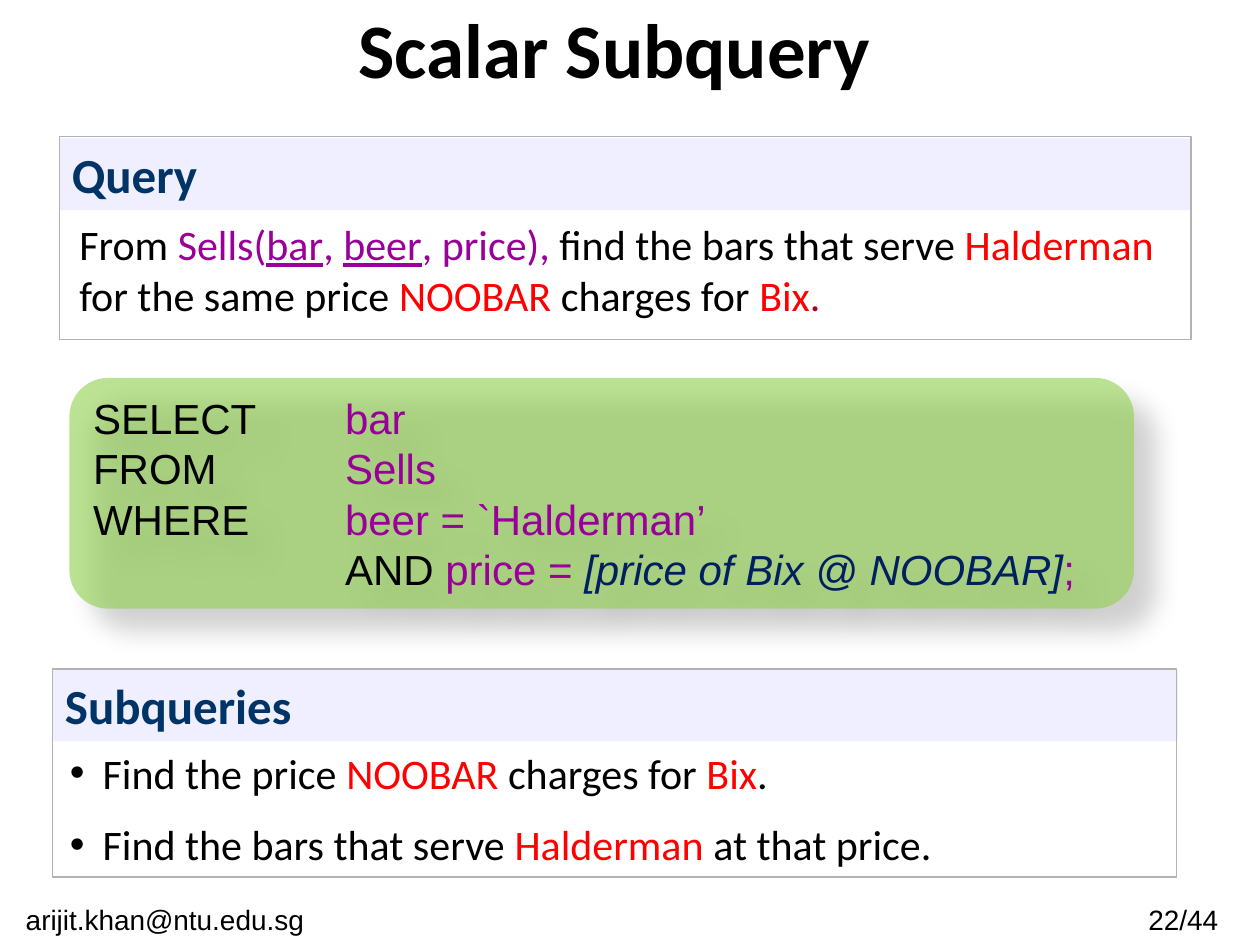
from lxml import etree
from pptx import Presentation
from pptx.dml.color import RGBColor
from pptx.enum.shapes import MSO_SHAPE
from pptx.enum.text import MSO_ANCHOR, PP_ALIGN
from pptx.oxml import parse_xml
from pptx.oxml.ns import nsdecls, qn
from pptx.util import Cm, Pt

RECT, ROUNDED = MSO_SHAPE.RECTANGLE, MSO_SHAPE.ROUNDED_RECTANGLE
TOP, MIDDLE = MSO_ANCHOR.TOP, MSO_ANCHOR.MIDDLE
LEFT, CENTER = PP_ALIGN.LEFT, PP_ALIGN.CENTER

BLACK, NAVY, INK = "000000", "003366", "002060"
PURPLE, RED, MAROON = "990099", "FF0000", "A50021"
LAVENDER, GREY, GREEN = "EFEFFF", "B2B2B2", "92D050"


def rgb(value):
    return RGBColor.from_string(value)


def write(box, lines, font, anchor=TOP, align=LEFT, wrap=True, bullets=False,
          tab=None):
    """Fill a box; each line is a list of (text, colour, extra font values)."""
    frame = box.text_frame
    frame.word_wrap = wrap
    frame.vertical_anchor = anchor
    for index, line in enumerate(lines):
        para = frame.paragraphs[0] if index == 0 else frame.add_paragraph()
        para.alignment = align
        props = para._p.get_or_add_pPr()
        if bullets:
            if index:
                para.space_before = Pt(12)
            props.set("marL", str(Cm(0.66)))
            props.set("indent", str(-Cm(0.66)))
            etree.SubElement(props, qn("a:buFont"), typeface="Arial")
            etree.SubElement(props, qn("a:buChar"), char="•")
        if tab:
            stops = etree.SubElement(props, qn("a:tabLst"))
            etree.SubElement(stops, qn("a:tab"), pos=str(tab), algn="l")
        for text, color, *extra in line:
            span = para.add_run()
            span.text = text
            span.font.color.rgb = rgb(color)
            for name, value in (font | (extra[0] if extra else {})).items():
                setattr(span.font, name, value)


deck = Presentation()
deck.slide_width, deck.slide_height = Cm(25.4), Cm(19.05)
page = deck.slides.add_slide(deck.slide_layouts[6])
shapes = page.shapes

# Title and footer
title_font = {"name": "Calibri", "size": Pt(44), "bold": True}
footer_font = {"name": "Arial", "size": Pt(16)}
for text, place, font, anchor in [
    ("Scalar Subquery", (0.64, 0, 23.5, 1.91), title_font, MIDDLE),
    ("22/44", (22.38, 18.06, 2.95, 0.99), footer_font, TOP),
    ("arijit.khan@ntu.edu.sg", (0, 18.06, 6.65, 0.99), footer_font, TOP),
]:
    box = shapes.add_textbox(*map(Cm, place))
    write(box, [[(text, BLACK)]], font, anchor, CENTER)

# Framed panels, each with a heading band
heading_font = {"name": "Calibri", "size": Pt(28), "bold": True}
body_font = {"name": "Calibri", "size": Pt(24)}
underlined = {"underline": True}
query = [[
    ("From ", BLACK), ("Sells(", PURPLE), ("bar", PURPLE, underlined),
    (", ", PURPLE), ("beer", PURPLE, underlined), (", price),", PURPLE),
    (" find the bars that serve ", BLACK), ("Halderman ", RED),
    ("for the same price ", BLACK), ("NOOBAR ", RED),
    ("charges for ", BLACK), ("Bix", RED), (".", MAROON),
]]
subqueries = [
    [("Find the price ", BLACK), ("NOOBAR ", RED), ("charges for ", BLACK),
     ("Bix", RED), (".", BLACK)],
    [("Find the bars that serve ", BLACK), ("Halderman", RED),
     (" at that price.", BLACK)],
]

for heading, band_place, frame_place, body_place, lines, bullets in [
    ("Query", (1.2, 2.79, 22.83, 1.45), (1.2, 2.75, 22.81, 4.09),
     (1.35, 4.29, 22.5, 2.31), query, False),
    ("Subqueries", (1.06, 13.49, 22.68, 1.45), (1.06, 13.49, 22.66, 4.19),
     (1.16, 14.94, 22.89, 2.74), subqueries, True),
]:
    band = shapes.add_shape(RECT, *map(Cm, band_place))
    band.shadow.inherit = False
    band.fill.solid()
    band.fill.fore_color.rgb = rgb(LAVENDER)
    band.line.fill.background()
    write(band, [[(heading, NAVY)]], heading_font)

    border = shapes.add_shape(RECT, *map(Cm, frame_place))
    border.shadow.inherit = False
    border.fill.background()
    border.line.color.rgb = rgb(GREY)
    border.line.width = Pt(0.75)

    body = shapes.add_textbox(*map(Cm, body_place))
    write(body, lines, body_font, bullets=bullets)

# SQL statement on a translucent card with a soft shadow
card = shapes.add_shape(ROUNDED, Cm(1.4), Cm(7.62), Cm(21.46), Cm(4.65))
card.adjustments[0] = 0.167
card.fill.solid()
card.fill.fore_color.rgb = rgb(GREEN)
card.line.fill.background()
card_props = card._element.spPr
fill_color = card_props.find(qn("a:solidFill")).find(qn("a:srgbClr"))
etree.SubElement(fill_color, qn("a:alpha"), val="61000")
card_props.append(parse_xml(
    f'<a:effectLst {nsdecls("a")}>'
    f'<a:outerShdw blurRad="{Pt(15)}" dist="{Pt(18)}" dir="2700000" '
    'algn="tl" rotWithShape="0"><a:srgbClr val="000000">'
    '<a:alpha val="30000"/></a:srgbClr></a:outerShdw></a:effectLst>'))

statement = [
    [("SELECT\t", BLACK), ("bar", PURPLE)],
    [("FROM\t", BLACK), ("Sells", PURPLE)],
    [("WHERE\t", BLACK), ("beer = `Halderman’", PURPLE)],
    [("\tAND ", BLACK), ("price = ", PURPLE),
     ("[price of Bix @ NOOBAR]", INK, {"italic": True}), (";", PURPLE)],
]
write(card, statement, {"name": "Arial", "size": Pt(24)}, MIDDLE,
      wrap=False, tab=Cm(5.08))

deck.save("out.pptx")
